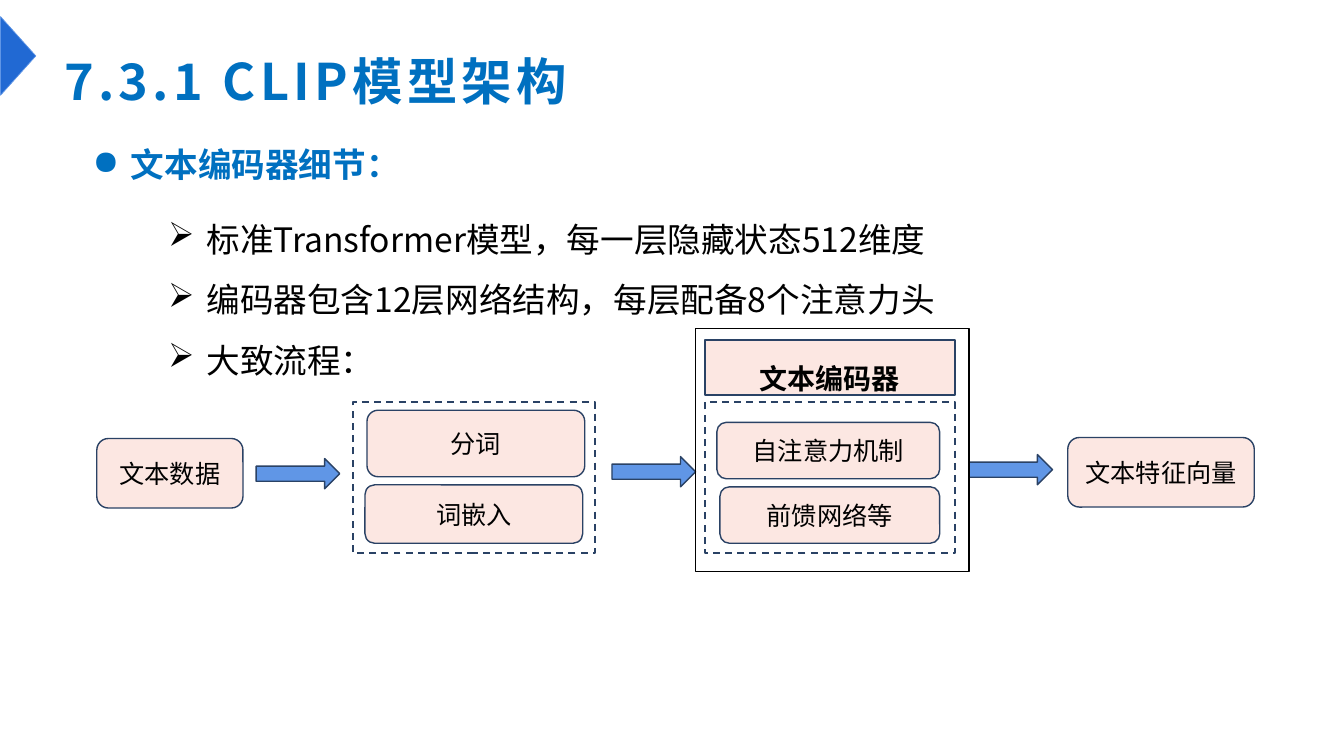
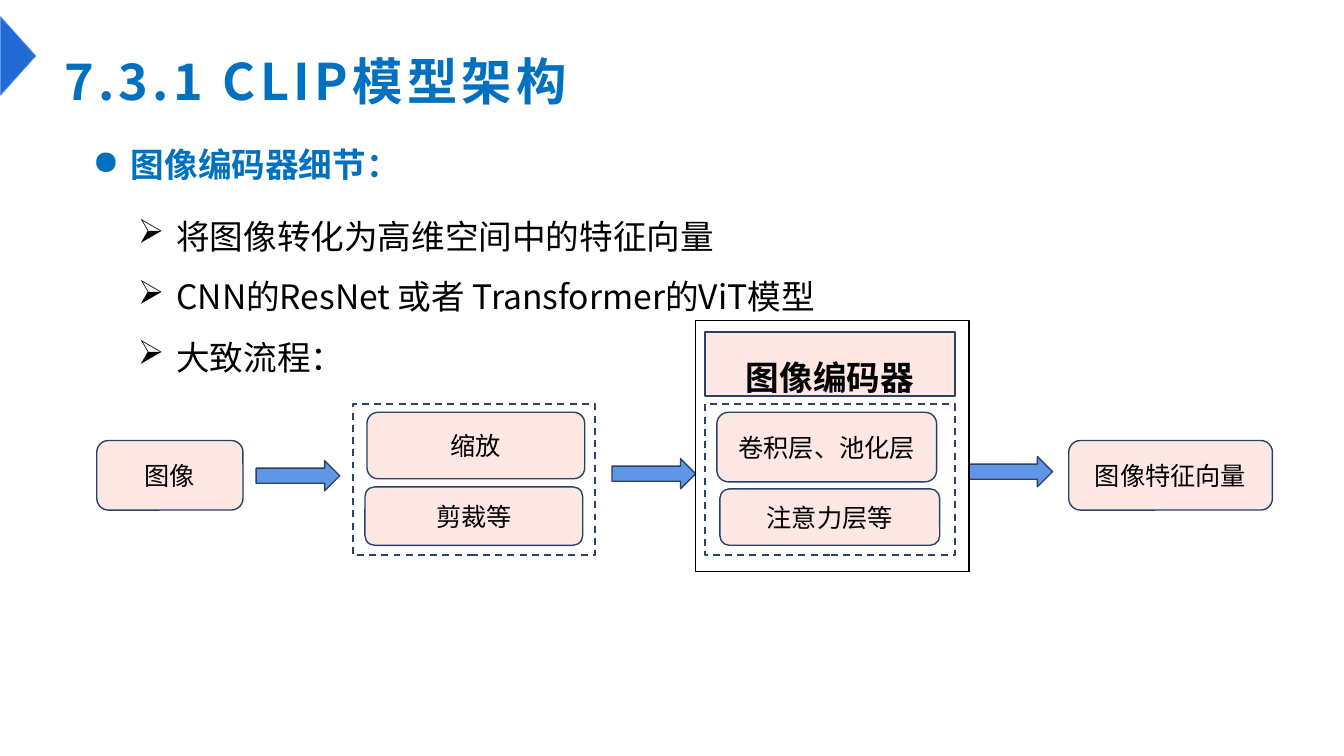
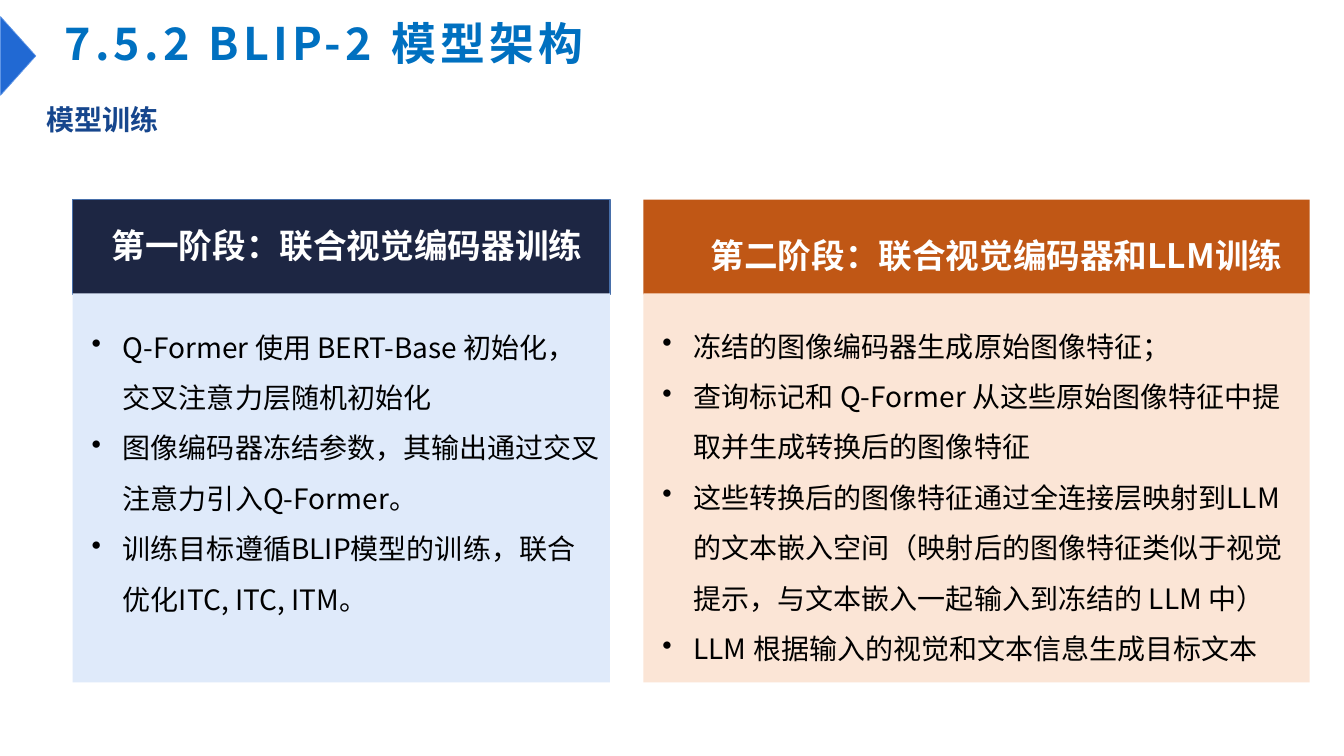
from dataclasses import dataclass
from typing import NamedTuple

from lxml.etree import SubElement
from pptx import Presentation
from pptx.dml.color import RGBColor
from pptx.enum.dml import MSO_LINE
from pptx.enum.shapes import MSO_SHAPE
from pptx.enum.text import MSO_ANCHOR, PP_ALIGN
from pptx.oxml.ns import qn
from pptx.util import Inches, Pt

FONT = "Noto Sans CJK SC"
BLACK, WHITE = "000000", "FFFFFF"
BLUE, NAVY = "0070C0", "16468D"
PINK, EDGE, ARROW = "FCE7E2", "2A4265", "6096E6"


class Box(NamedTuple):
    left: float
    top: float
    width: float
    height: float

    def place(self) -> list:
        return [Inches(side) for side in self]


@dataclass
class Style:
    size: float
    color: str = BLACK
    bold: bool = False
    lines: float = 1.0
    bullet: str = ""
    indent: float = 0.38
    track: int = 0
    align: PP_ALIGN = PP_ALIGN.LEFT


@dataclass
class Flow:
    """One encoder slide: its points and the chart from input to vector."""
    name: str
    points: list[str]
    corner: tuple[float, float]
    top: float
    source: str
    steps: tuple[str, str]
    layers: tuple[str, str]
    first: Box
    result: str
    output: Box
    frame: float
    head: float
    size: float


@dataclass
class Stage:
    title: str
    points: list[str]
    left: float
    width: float
    dark: str
    light: str
    edge: str | None
    label: Box
    text: Box


def paint(color: str) -> RGBColor:
    return RGBColor.from_string(color)


def write(frame, texts: list[str], style: Style) -> None:
    frame.word_wrap = True
    for i, text in enumerate(texts):
        para = frame.paragraphs[0] if i == 0 else frame.add_paragraph()
        para.text = text
        para.alignment = style.align
        para.line_spacing = style.lines
        props = para._p.get_or_add_pPr()
        if style.bullet:
            props.set("marL", str(Inches(style.indent)))
            props.set("indent", str(-Inches(style.indent)))
            SubElement(props, qn("a:buChar")).set("char", style.bullet)
        font = para.font
        font.size, font.bold, font.name = Pt(style.size), style.bold, FONT
        font.color.rgb = paint(style.color)
        chars = props.find(qn("a:defRPr"))
        SubElement(chars, qn("a:ea")).set("typeface", FONT)
        if style.track:
            chars.set("spc", str(style.track * 100))


def label(slide, box: Box, texts: list[str], style: Style):
    frame = slide.shapes.add_textbox(*box.place()).text_frame
    write(frame, texts, style)
    return frame


def draw(slide, kind: MSO_SHAPE, box: Box, fill: str | None = None,
         line: str | None = None, weight: float = 1):
    shape = slide.shapes.add_shape(kind, *box.place())
    shape.shadow.inherit = False
    if fill:
        shape.fill.solid()
        shape.fill.fore_color.rgb = paint(fill)
    else:
        shape.fill.background()
    if line:
        shape.line.color.rgb = paint(line)
        shape.line.width = Pt(weight)
    else:
        shape.line.fill.background()
    return shape


def node(slide, box: Box, text: str) -> None:
    shape = draw(slide, MSO_SHAPE.ROUNDED_RECTANGLE, box, PINK, EDGE)
    shape.text_frame.vertical_anchor = MSO_ANCHOR.MIDDLE
    write(shape.text_frame, [text], Style(18, align=PP_ALIGN.CENTER))


def group(slide, box: Box) -> None:
    shape = draw(slide, MSO_SHAPE.RECTANGLE, box, None, EDGE, 1.25)
    shape.line.dash_style = MSO_LINE.DASH


def start(deck, title: str, top: float, size: float):
    """Add a slide with the side marker and the title."""
    slide = deck.slides.add_slide(deck.slide_layouts[6])
    mark = draw(slide, MSO_SHAPE.ISOSCELES_TRIANGLE,
                Box(-0.21, 0.38, 0.78, 0.35), "2169D3", ARROW, 0.5)
    mark.rotation = 90
    frame = label(slide, Box(0.64, top, 7.3, 0.56), [title],
                  Style(size, BLUE, True, track=3))
    frame.vertical_anchor = MSO_ANCHOR.MIDDLE
    frame.margin_left = frame.margin_right = frame.margin_bottom = 0
    frame.margin_top = Inches(0.02)
    return slide


def encoder(deck, flow: Flow) -> None:
    slide = start(deck, "7.3.1 CLIP模型架构", 0.51, 36)
    label(slide, Box(0.82, 1.18, 11.63, 0.64), [flow.name + "细节："],
          Style(24, BLUE, True, 1.5, "●"))
    label(slide, Box(*flow.corner, 10.13, 1.85), flow.points,
          Style(24, lines=1.5, bullet="➢"))

    top = flow.top
    node(slide, Box(0.96, top + 0.36, 1.45, 0.69), flow.source)
    node(slide, Box(3.64, top + 0.08, 2.16, 0.66), flow.steps[0])
    node(slide, Box(3.62, top + 0.82, 2.16, 0.58), flow.steps[1])
    node(slide, flow.first, flow.layers[0])
    node(slide, Box(7.14, top + 0.84, 2.18, 0.56), flow.layers[1])
    node(slide, flow.output, flow.result)
    for left, width in ((3.5, 2.4), (6.99, 2.48)):
        group(slide, Box(left, top, width, 1.5))
    for left, drop in ((2.54, 0.56), (6.07, 0.54), (9.61, 0.52)):
        draw(slide, MSO_SHAPE.RIGHT_ARROW,
             Box(left, top + drop, 0.83, 0.3), ARROW, EDGE)

    head = draw(slide, MSO_SHAPE.RECTANGLE,
                Box(6.99, flow.frame + 0.11, 2.48, flow.head),
                PINK, EDGE, 1.5)
    head.text_frame.vertical_anchor = MSO_ANCHOR.TOP
    write(head.text_frame, [flow.name],
          Style(flow.size, bold=True, lines=1.5, align=PP_ALIGN.CENTER))
    draw(slide, MSO_SHAPE.RECTANGLE,
         Box(6.9, flow.frame, 2.71, 5.67 - flow.frame), None, BLACK)


def panel(slide, stage: Stage) -> None:
    draw(slide, MSO_SHAPE.RECTANGLE,
         Box(stage.left, 1.98, stage.width, 0.94), stage.dark, stage.edge)
    draw(slide, MSO_SHAPE.RECTANGLE,
         Box(stage.left, 2.91, stage.width, 3.86), stage.light)
    label(slide, stage.label, [stage.title], Style(24, WHITE, True, 1.5))
    label(slide, stage.text, stage.points,
          Style(20, lines=1.5, bullet="•", indent=0.31))


def training(deck, stages: list[Stage]) -> None:
    slide = start(deck, "7.5.2 BLIP-2 模型架构", 0.13, 32)
    frame = label(slide, Box(0.36, 0.97, 1.32, 0.44), ["模型训练"],
                  Style(20, NAVY, True))
    frame.word_wrap = False
    for stage in stages:
        panel(slide, stage)


FLOWS = [
    Flow("文本编码器",
         ["标准Transformer模型，每一层隐藏状态512维度",
          "编码器包含12层网络结构，每层配备8个注意力头",
          "大致流程："],
         (1.57, 1.92), 3.99, "文本数据", ("分词", "词嵌入"),
         ("自注意力机制", "前馈网络等"), Box(7.11, 4.19, 2.21, 0.56),
         "文本特征向量", Box(10.59, 4.34, 1.85, 0.69), 3.26, 0.55, 20),
    Flow("图像编码器",
         ["将图像转化为高维空间中的特征向量",
          "CNN的ResNet 或者 Transformer的ViT模型",
          "大致流程："],
         (1.27, 1.89), 4.01, "图像", ("缩放", "剪裁等"),
         ("卷积层、池化层", "注意力层等"), Box(7.11, 4.09, 2.18, 0.69),
         "图像特征向量", Box(10.6, 4.37, 2.02, 0.69), 3.18, 0.64, 24),
]

STAGES = [
    Stage("第一阶段：联合视觉编码器训练",
          ["Q-Former 使用 BERT-Base 初始化，交叉注意力层随机初始化",
           "图像编码器冻结参数，其输出通过交叉注意力引入Q-Former。",
           "训练目标遵循BLIP模型的训练，联合优化ITC, ITC, ITM。"],
          0.72, 5.33, "1D2643", "DFEAFA", "476FAA",
          Box(1.01, 1.98, 4.93, 0.64), Box(0.81, 3.06, 5.25, 3.07)),
    Stage("第二阶段：联合视觉编码器和LLM训练",
          ["冻结的图像编码器生成原始图像特征；",
           "查询标记和 Q-Former 从这些原始图像特征中提取并生成转换后的图像特征",
           "这些转换后的图像特征通过全连接层映射到LLM 的文本嵌入空间"
           "（映射后的图像特征类似于视觉提示，与文本嵌入一起输入到冻结的 LLM 中）",
           "LLM 根据输入的视觉和文本信息生成目标文本"],
          6.38, 6.61, "C05715", "FBE5D6", None,
          Box(6.95, 2.08, 6.04, 0.64), Box(6.47, 3.05, 6.55, 3.97)),
]


def main() -> None:
    deck = Presentation()
    deck.slide_width, deck.slide_height = Inches(13.33), Inches(7.5)
    for flow in FLOWS:
        encoder(deck, flow)
    training(deck, STAGES)
    deck.save("out.pptx")


if __name__ == "__main__":
    main()
